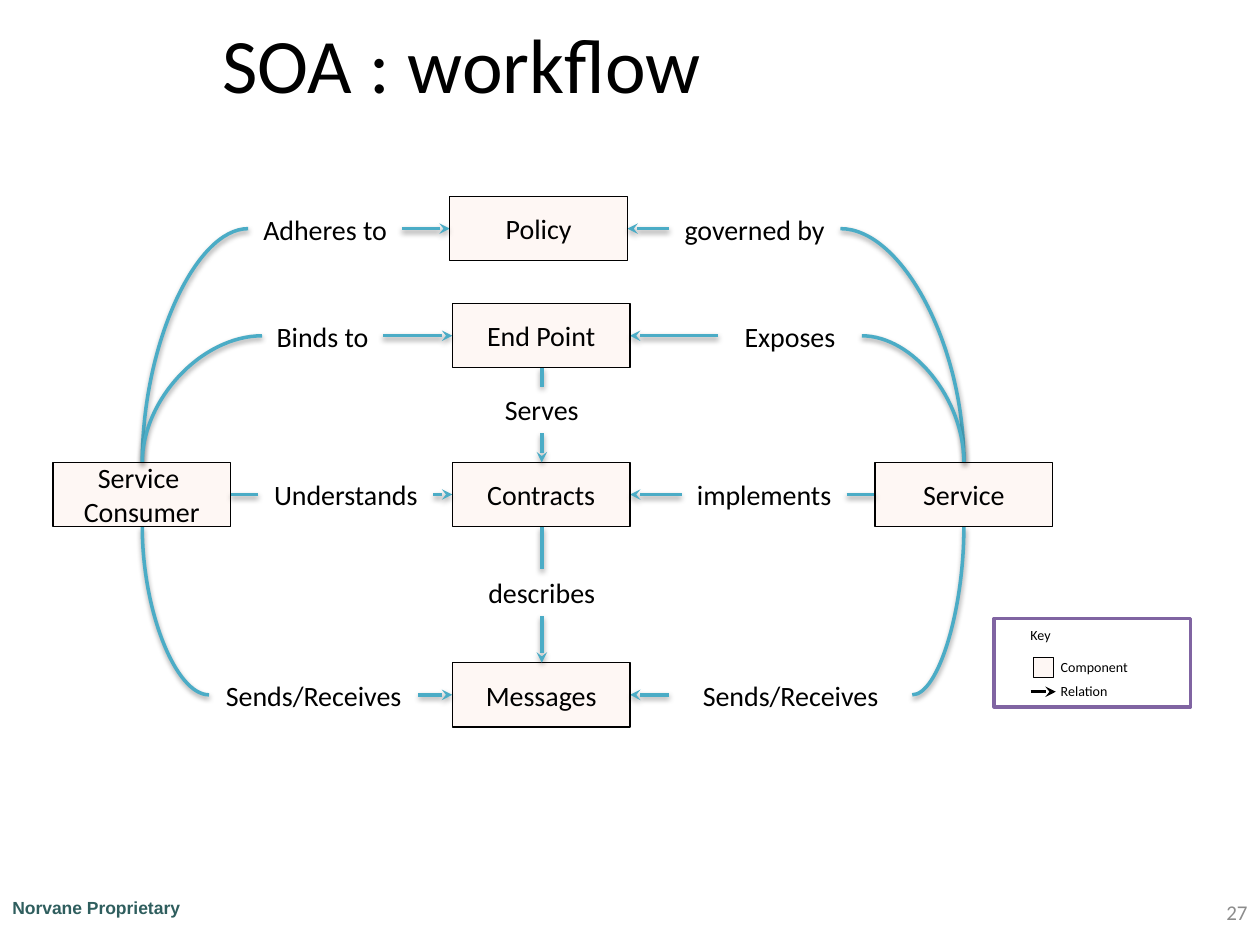
from lxml import etree
from pptx import Presentation
from pptx.dml.color import RGBColor
from pptx.enum.shapes import MSO_CONNECTOR, MSO_SHAPE
from pptx.enum.text import MSO_ANCHOR, PP_ALIGN
from pptx.oxml.ns import qn
from pptx.util import Inches, Pt

CURVE = MSO_CONNECTOR.CURVE
RECTANGLE = MSO_SHAPE.RECTANGLE
TOP, MIDDLE = MSO_ANCHOR.TOP, MSO_ANCHOR.MIDDLE
LEFT, CENTER, RIGHT = PP_ALIGN.LEFT, PP_ALIGN.CENTER, PP_ALIGN.RIGHT

BLACK = RGBColor(0x00, 0x00, 0x00)
PEACH = RGBColor(0xFC, 0xDD, 0xCF)
TEAL = RGBColor(0x4B, 0xAC, 0xC6)
PURPLE = RGBColor(0x80, 0x64, 0xA2)
GREEN = RGBColor(0x2F, 0x5E, 0x5E)
GREY = RGBColor(0x8C, 0x8C, 0x8C)

BOX_WIDTH, BOX_HEIGHT = 1.41, 0.51
LABEL_HEIGHT = 0.37


def write(shape, text, size=16, color=BLACK, font="Calibri", bold=False,
          align=CENTER, anchor=MIDDLE, wrap=False):
    frame = shape.text_frame
    frame.word_wrap = wrap
    frame.vertical_anchor = anchor
    for index, line in enumerate(text.split("\n")):
        para = frame.add_paragraph() if index else frame.paragraphs[0]
        para.alignment = align
        span = para.add_run()
        span.text = line
        span.font.name = font
        span.font.size = Pt(size)
        span.font.bold = bold
        span.font.color.rgb = color


def add_text(page, text, left, top, width, height, **style):
    box = page.shapes.add_textbox(*map(Inches, (left, top, width, height)))
    write(box, text, **style)


def add_rectangle(page, left, top, width, height, line=BLACK, weight=0.75, tinted=True):
    box = page.shapes.add_shape(RECTANGLE, *map(Inches, (left, top, width, height)))
    box.shadow.inherit = False
    box.line.color.rgb = line
    box.line.width = Pt(weight)
    if tinted:
        box.fill.solid()
        box.fill.fore_color.rgb = PEACH
        tint = box._element.spPr.find(qn("a:solidFill"))[0]
        etree.SubElement(tint, qn("a:alpha"), val="22000")
    else:
        box.fill.background()
    return box


def add_curve(page, x1, y1, x2, y2, arrow=False, arc=False, color=TEAL, shadow=True):
    """An arc leaves its start sideways and meets its end upright."""
    upright = x1 == x2
    if upright:
        # Lay the line flat around its centre, then turn it downward
        middle, half = (y1 + y2) / 2, (y2 - y1) / 2
        x1, x2, y1, y2 = x1 - half, x2 + half, middle, middle
    curve = page.shapes.add_connector(CURVE, *map(Inches, (x1, y1, x2, y2)))
    curve.line.color.rgb = color
    curve.line.width = Pt(2)
    properties = curve._element.spPr
    if upright:
        properties.find(qn("a:xfrm")).set("rot", "5400000")
    if arc:
        properties.find(qn("a:prstGeom")).set("prst", "curvedConnector2")
    if arrow:
        etree.SubElement(properties.find(qn("a:ln")), qn("a:tailEnd"), type="stealth")
    effects = etree.SubElement(properties, qn("a:effectLst"))
    if shadow:
        outer = etree.SubElement(effects, qn("a:outerShdw"), blurRad="40000",
                                 dist="20000", dir="5400000", rotWithShape="0")
        tone = etree.SubElement(outer, qn("a:srgbClr"), val="000000")
        etree.SubElement(tone, qn("a:alpha"), val="38000")


def add_component(page, text, left, top):
    write(add_rectangle(page, left, top, BOX_WIDTH, BOX_HEIGHT), text)


def add_workflow(page, left, top):
    """Consumer and service, each related to a central column of components."""
    consumer_x, service_x = left + 0.71, left + 7.23
    column_left, column_x = left + 3.17, left + 3.88
    column_right = column_left + BOX_WIDTH
    side_top = top + 2.11
    side_bottom = side_top + BOX_HEIGHT

    # Rows: component, its left and top, then label text, left and width per side
    rows = [
        ("Policy", 3.15, 0, ("Adheres to", 1.55, 1.22), ("governed by", 4.89, 1.36)),
        ("End Point", 3.17, 0.85, ("Binds to", 1.66, 0.96), ("Exposes", 5.28, 1.14)),
        ("Contracts", 3.17, 2.11, ("Understands", 1.63, 1.39), ("implements", 4.99, 1.31)),
        ("Messages", 3.17, 3.7, ("Sends/Receives", 1.24, 1.66), ("Sends/Receives", 4.89, 1.93)),
    ]
    for name, box_left, box_top, consumer_label, service_label in rows:
        box_left, box_top = left + box_left, top + box_top
        y = box_top + BOX_HEIGHT / 2
        sides = [(consumer_label, consumer_x, box_left, True),
                 (service_label, service_x, box_left + BOX_WIDTH, False)]
        for (text, label_left, width), side_x, target_x, from_left in sides:
            start, end = left + label_left, left + label_left + width
            outer, inner = (start, end) if from_left else (end, start)
            if box_top == side_top:
                edge = side_x + BOX_WIDTH / 2 * (1 if from_left else -1)
                add_curve(page, outer, y, edge, y)
            else:
                side_y = side_top if box_top < side_top else side_bottom
                add_curve(page, outer, y, side_x, side_y, arc=True)
            add_curve(page, inner, y, target_x, y, arrow=True)
            add_text(page, text, start, y - 0.18, width, LABEL_HEIGHT, anchor=TOP)
        add_component(page, name, box_left, box_top)

    # Relations down the column: label, upper edge, label top, lower edge
    for text, upper, label_top, lower in [("Serves", 1.36, 1.51, 2.11),
                                          ("describes", 2.62, 2.96, 3.7)]:
        label_y = top + label_top
        add_curve(page, column_x, top + upper, column_x, label_y)
        add_curve(page, column_x, label_y + LABEL_HEIGHT, column_x, top + lower, arrow=True)
        add_text(page, text, column_x - 0.73, label_y, 1.46, LABEL_HEIGHT, anchor=TOP)

    add_component(page, "Service \nConsumer", left, side_top)
    add_component(page, "Service", service_x - BOX_WIDTH / 2, side_top)


def add_key(page, left, top):
    add_rectangle(page, left, top, 1.56, 0.7, line=PURPLE, weight=2, tinted=False)
    add_rectangle(page, left + 0.31, top + 0.31, 0.16, 0.16)
    add_curve(page, left + 0.29, top + 0.58, left + 0.49, top + 0.58,
              arrow=True, color=BLACK, shadow=False)
    for text, x, y, width in [("Key", 0.19, 0.01, 0.37),
                              ("Component", 0.43, 0.27, 0.74),
                              ("Relation", 0.43, 0.46, 0.58)]:
        add_text(page, text, left + x, top + y, width, 0.23, size=8, align=LEFT, anchor=TOP)


def add_frame(page):
    """Title, owner line and page number."""
    add_text(page, "SOA : workflow", 0, 0.08, 7.33, 0.83, size=44, wrap=True)
    add_text(page, "Norvane Proprietary", 0, 7.07, 3.17, 0.43, size=10, color=GREEN,
             font="Arial", bold=True, align=LEFT, anchor=TOP, wrap=True)
    add_text(page, "27", 9.5, 7.03, 0.5, 0.42, size=12, color=GREY, align=RIGHT, wrap=True)


deck = Presentation()
deck.slide_width, deck.slide_height = Inches(10), Inches(7.5)
slide = deck.slides.add_slide(deck.slide_layouts[6])
add_frame(slide)
add_workflow(slide, 0.42, 1.56)
add_key(slide, 7.89, 4.91)
deck.save("out.pptx")
